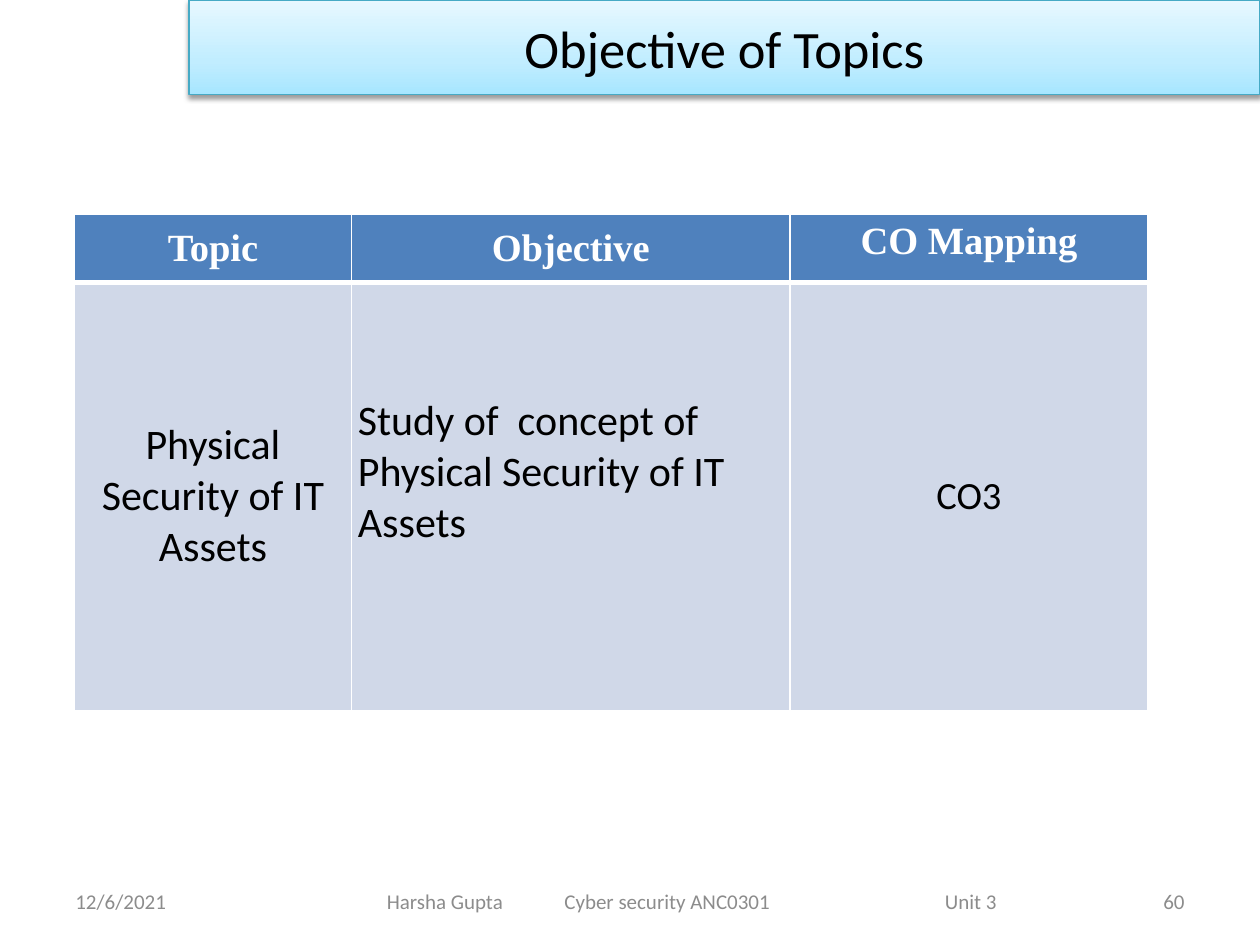
from copy import deepcopy

from pptx import Presentation
from pptx.dml.color import RGBColor
from pptx.enum.text import MSO_ANCHOR, PP_ALIGN
from pptx.oxml import parse_xml
from pptx.oxml.ns import nsdecls
from pptx.util import Inches, Pt

BLACK = RGBColor(0x00, 0x00, 0x00)
WHITE = RGBColor(0xFF, 0xFF, 0xFF)
GREY = RGBColor(0x8C, 0x8C, 0x8C)
HEADER_BLUE = RGBColor(0x4F, 0x81, 0xBD)
BODY_BLUE = RGBColor(0xD0, 0xD8, 0xE8)
BANNER_LINE = RGBColor(0x46, 0xAA, 0xC5)
BANNER_STOPS = [
    (0, RGBColor(0xA7, 0xE6, 0xFF)),
    (0.35, RGBColor(0xC1, 0xED, 0xFF)),
    (1, RGBColor(0xE7, 0xF8, 0xFF)),
]


def write(frame, text, size=12, color=BLACK, font="Calibri", bold=False,
          align=PP_ALIGN.LEFT, tabs=()):
    para = frame.paragraphs[0]
    para.alignment = align
    if tabs:
        stops = "".join(f'<a:tab pos="{Inches(tab)}" algn="l"/>' for tab in tabs)
        para._p.get_or_add_pPr().append(
            parse_xml(f'<a:tabLst {nsdecls("a")}>{stops}</a:tabLst>'))
    span = para.add_run()
    span.text = text
    span.font.name = font
    span.font.size = Pt(size)
    span.font.bold = bold
    span.font.color.rgb = color


def add_border(cell, side, width):
    cell._tc.get_or_add_tcPr().append(parse_xml(
        f'<a:ln{side} {nsdecls("a")} w="{Pt(width)}"><a:solidFill>'
        f'<a:srgbClr val="{WHITE}"/></a:solidFill></a:ln{side}>'))


deck = Presentation()
deck.slide_width, deck.slide_height = Inches(10), Inches(7.5)
page = deck.slides.add_slide(deck.slide_layouts[5])

# Title banner with gradient and soft shadow
title = page.shapes.title
title.left, title.top = Inches(1.5), Inches(0)
title.width, title.height = Inches(8.5), Inches(0.75)
title.fill.gradient()
title.fill.gradient_angle = 90
stop_list = title._element.spPr.xpath(".//a:gsLst")[0]
stop_list.append(deepcopy(stop_list[0]))
for stop, (position, color) in zip(title.fill.gradient_stops, BANNER_STOPS):
    stop.position = position
    stop.color.rgb = color
title.line.color.rgb = BANNER_LINE
title.line.width = Pt(0.75)
title.shadow.inherit = False
title._element.spPr.xpath("a:effectLst")[0].append(parse_xml(
    f'<a:outerShdw {nsdecls("a")} blurRad="{Pt(3.1)}" dist="{Pt(1.6)}" '
    'dir="5400000" rotWithShape="0"><a:srgbClr val="000000">'
    '<a:alpha val="38000"/></a:srgbClr></a:outerShdw>'))
title.text_frame.vertical_anchor = MSO_ANCHOR.MIDDLE
write(title.text_frame, "Objective of Topics", size=30, align=PP_ALIGN.CENTER)

# Objectives table
rows = [
    ["Topic", "Objective", "CO Mapping"],
    ["Physical Security of IT Assets",
     "Study of  concept of Physical Security of IT Assets", "CO3"],
]
table = page.shapes.add_table(2, 3, Inches(0.59), Inches(1.7),
                              Inches(8.52), Inches(3.94)).table
for column, width in zip(table.columns, [2.2, 3.48, 2.84]):
    column.width = Inches(width)
for row, height in zip(table.rows, [0.54, 3.4]):
    row.height = Inches(height)

for r, texts in enumerate(rows):
    header = r == 0
    for c, text in enumerate(texts):
        cell = table.cell(r, c)
        for side in "LRTB":
            add_border(cell, side, 3 if side == ("B" if header else "T") else 1)
        cell.fill.solid()
        cell.fill.fore_color.rgb = HEADER_BLUE if header else BODY_BLUE
        cell.vertical_anchor = MSO_ANCHOR.MIDDLE
        if c < 2:
            cell.margin_left = cell.margin_right = Inches(0)
            cell.margin_top = cell.margin_bottom = Inches(0)
        if header:
            write(cell.text_frame, text, size=22, color=WHITE, bold=True,
                  font="Times New Roman", align=PP_ALIGN.CENTER)
        else:
            write(cell.text_frame, text, size=22 if c == 2 else 24,
                  align=PP_ALIGN.LEFT if c == 1 else PP_ALIGN.CENTER)

# Cells that sit off the common alignment
table.cell(0, 2).vertical_anchor = MSO_ANCHOR.TOP
table.cell(1, 1).margin_left = Inches(0.05)
table.cell(1, 1).margin_bottom = Inches(0.38)

# Footer: date, course line and page number
footers = [
    ("12/6/2021", 0.5, 2.33, 0.1, PP_ALIGN.LEFT, ()),
    ("Harsha Gupta\tCyber security ANC0301\tUnit 3", 2.75, 5.5, 0.32,
     PP_ALIGN.LEFT, (1.41, 4.43)),
    ("60", 7.17, 2.33, 0.1, PP_ALIGN.RIGHT, ()),
]
for text, left, width, margin, align, tabs in footers:
    box = page.shapes.add_textbox(Inches(left), Inches(6.95), Inches(width), Inches(0.4))
    frame = box.text_frame
    frame.word_wrap = True
    frame.margin_left = Inches(margin)
    frame.vertical_anchor = MSO_ANCHOR.MIDDLE
    write(frame, text, color=GREY, align=align, tabs=tabs)

deck.save("out.pptx")
